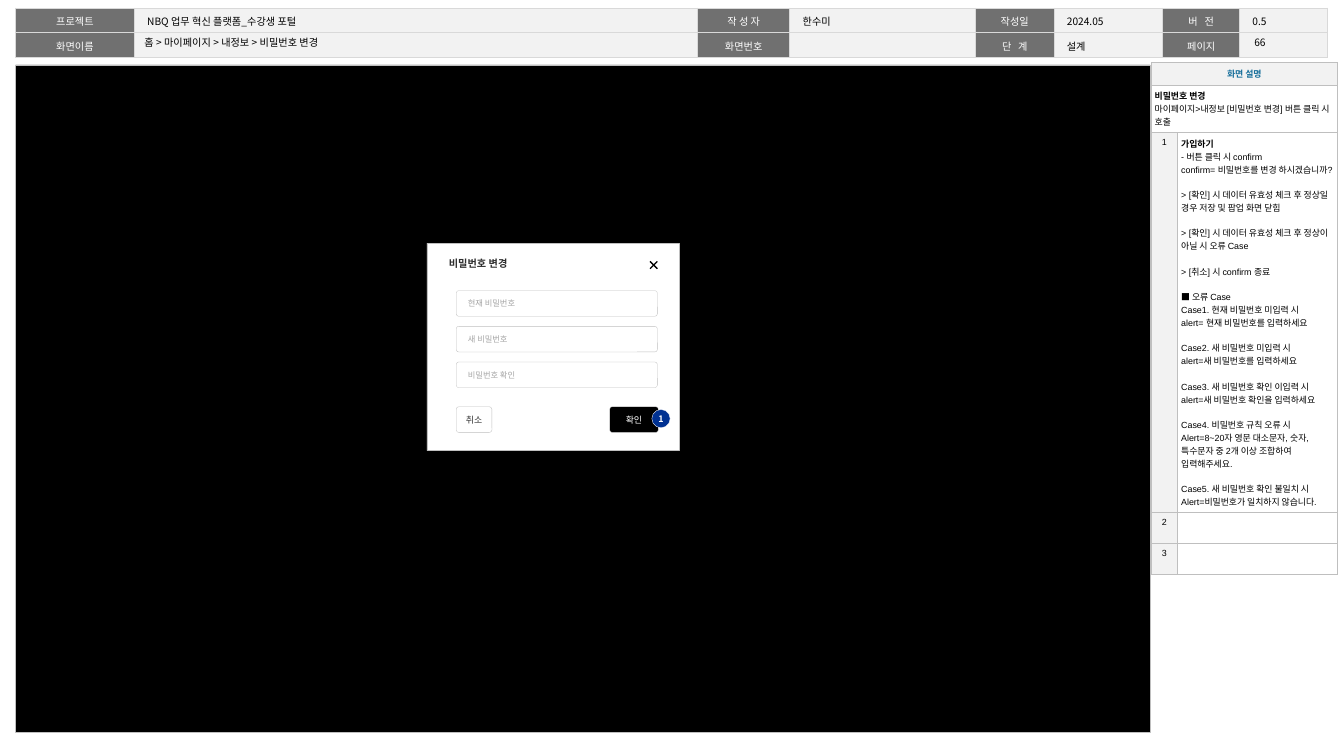
import dataclasses

import lxml.etree
import pptx
import pptx.dml.color
import pptx.enum.shapes
import pptx.enum.text
import pptx.oxml.ns
import pptx.util

Inches = pptx.util.Inches
Align = pptx.enum.text.PP_ALIGN
Anchor = pptx.enum.text.MSO_ANCHOR
Shape = pptx.enum.shapes.MSO_SHAPE
qn = pptx.oxml.ns.qn


@dataclasses.dataclass(frozen=True)
class Theme:
    """Colours, fonts and type sizes of the storyboard."""
    korean: str = "Noto Sans CJK KR"
    latin: str = "Arial"
    black: str = "000000"
    white: str = "FFFFFF"
    ink: str = "2E2E2E"
    label: str = "707070"
    pale: str = "F2F2F2"
    grid: str = "D9D9D9"
    border: str = "BFBFBF"
    hint: str = "A6A6A6"
    heading: str = "176F9B"
    badge: str = "003192"
    large: float = 8
    small: float = 7
    hint_size: float = 6.5


@dataclasses.dataclass(frozen=True)
class Style:
    """Type settings for one piece of text."""
    size: float
    color: str
    font: str
    bold: bool = False
    align: Align = Align.LEFT
    line_spacing: float | None = None
    tracking: int = 0


@dataclasses.dataclass(frozen=True)
class Line:
    """One paragraph, optionally bold or opening a new group."""
    text: str
    bold: bool = False
    opens_group: bool = False


class Storyboard:
    """Draws storyboard elements on the current slide."""

    def __init__(self, slide, theme):
        self.slide, self.theme = slide, theme

    def color(self, value):
        """Return a colour object for a hex value."""
        return pptx.dml.color.RGBColor.from_string(value)

    def fill_frame(self, frame, lines, style, insets, anchor=Anchor.MIDDLE):
        """Fill a text frame with formatted paragraphs."""
        frame.word_wrap = True
        frame.auto_size = pptx.enum.text.MSO_AUTO_SIZE.NONE
        self.place_text(frame, insets, anchor)
        self.fill_paragraphs(frame, lines, style)

    def place_text(self, holder, insets, anchor):
        """Set margins and anchor of a text frame or cell."""
        (holder.margin_left, holder.margin_top,
         holder.margin_right, holder.margin_bottom) = map(Inches, insets)
        holder.vertical_anchor = anchor

    def fill_paragraphs(self, frame, lines, style):
        """Add one paragraph for each line."""
        for index, line in enumerate(lines):
            paragraph = frame.add_paragraph() if index else frame.paragraphs[0]
            self.fill_paragraph(paragraph, line, style)

    def fill_paragraph(self, paragraph, line, style):
        """Add a single formatted run to a paragraph."""
        paragraph.alignment = style.align
        paragraph.line_spacing = style.line_spacing
        paragraph.space_before = pptx.util.Pt(10 if line.opens_group else 0)
        if not line.text:
            end = lxml.etree.SubElement(paragraph._p, qn("a:endParaRPr"))
            end.set("sz", str(int(style.size * 100)))
            return
        run = paragraph.add_run()
        run.text = line.text
        run.font.size = pptx.util.Pt(style.size)
        run.font.bold = style.bold or line.bold
        run.font.color.rgb = self.color(style.color)
        run.font.name = style.font
        properties = run._r.get_or_add_rPr()
        east_asian = lxml.etree.SubElement(properties, qn("a:ea"))
        east_asian.set("typeface", self.theme.korean)
        if style.tracking:
            properties.set("spc", str(style.tracking))

    def box(self, kind, bounds, fill, line_color, line_width):
        """Add a flat filled shape."""
        shape = self.slide.shapes.add_shape(kind, *map(Inches, bounds))
        shape.shadow.inherit = False
        shape.fill.solid()
        shape.fill.fore_color.rgb = self.color(fill)
        shape.line.color.rgb = self.color(line_color)
        shape.line.width = pptx.util.Pt(line_width)
        if kind == Shape.ROUNDED_RECTANGLE:
            shape.adjustments[0] = 0.1
        return shape

    def title(self, text, bounds, style):
        """Place the title placeholder above the elements drawn so far."""
        title = self.slide.shapes.title
        title.left, title.top, title.width, title.height = map(Inches, bounds)
        title.element.getparent().append(title.element)
        self.fill_frame(title.text_frame, [Line(text)], style, (0.11, 0.05, 0.11, 0.05))

    def text(self, text, bounds, style):
        """Add a plain text box."""
        label = self.slide.shapes.add_textbox(*map(Inches, bounds))
        self.fill_frame(label.text_frame, [Line(text)], style, (0.1, 0.05, 0.1, 0.05))

    def close_icon(self, left, top, size):
        """Draw two crossed strokes as a group."""
        icon = self.slide.shapes.add_group_shape()
        for start, end in ((left, left + size), (left + size, left)):
            stroke = icon.shapes.add_connector(
                pptx.enum.shapes.MSO_CONNECTOR.STRAIGHT,
                Inches(start), Inches(top), Inches(end), Inches(top + size))
            stroke.line.color.rgb = self.color(self.theme.black)
            stroke.line.width = pptx.util.Pt(1)
            lxml.etree.SubElement(stroke._element.spPr, qn("a:effectLst"))

    def table(self, bounds, columns, rows):
        """Add an unstyled table with the given column and row sizes."""
        table = self.slide.shapes.add_table(
            len(rows), len(columns), *map(Inches, bounds)).table
        table.first_row = table.horz_banding = False
        for column, width in zip(table.columns, columns):
            column.width = Inches(width)
        for row, height in zip(table.rows, rows):
            row.height = Inches(height)
        return table

    def cell(self, cell, lines, style, fill, border, insets, anchor=Anchor.TOP):
        """Fill one cell and draw its four borders."""
        cell.fill.solid()
        cell.fill.fore_color.rgb = self.color(fill)
        self.place_text(cell, insets, anchor)
        self.fill_paragraphs(cell.text_frame, lines, style)
        border_color, border_width = border
        properties = cell._tc.get_or_add_tcPr()
        for index, side in enumerate(("a:lnL", "a:lnR", "a:lnT", "a:lnB")):
            edge = lxml.etree.Element(qn(side), w=str(int(pptx.util.Pt(border_width))))
            solid = lxml.etree.SubElement(edge, qn("a:solidFill"))
            lxml.etree.SubElement(solid, qn("a:srgbClr"), val=border_color)
            properties.insert(index, edge)


def main():
    """Build the password change storyboard."""
    theme = Theme()
    deck = pptx.Presentation()
    deck.slide_width, deck.slide_height = Inches(14.7), Inches(8.27)
    board = Storyboard(deck.slides.add_slide(deck.slide_layouts[5]), theme)

    value = Style(theme.large, theme.black, theme.korean, line_spacing=1.05)
    label = dataclasses.replace(value, color=theme.white, align=Align.CENTER)
    project_rows = [
        ["프로젝트", "NBQ 업무 혁신 플랫폼_수강생 포털", "작 성 자", "한수미",
         "작성일", "2024.05", "버 전", "0.5"],
        ["화면이름", "", "화면번호", "", "단 계", "설계", "페이지", ""]]
    project = board.table((0.17, 0.09, 14.34, 0.49),
                          (1.3, 6.16, 1.01, 2.03, 0.86, 1.19, 0.84, 0.96), (0.24, 0.24))
    for row, entries in enumerate(project_rows):
        for column, entry in enumerate(entries):
            is_label = column % 2 == 0
            style = label if is_label else value
            if entry in ("버 전", "단 계"):
                style = dataclasses.replace(label, tracking=180)
            board.cell(project.cell(row, column), [Line(entry)], style,
                       theme.label if is_label else theme.pale,
                       (theme.grid, 1), (0.14, 0.05, 0.14, 0.05))

    board.box(Shape.RECTANGLE, (0.17, 0.71, 12.41, 7.3), theme.black, theme.border, 0.5)
    dialog = board.box(Shape.RECTANGLE, (4.67, 2.66, 2.76, 2.27),
                       theme.white, theme.border, 0.5)
    board.fill_frame(dialog.text_frame, [Line("비밀번호 변경", bold=True)],
                     Style(theme.large, theme.ink, theme.korean),
                     (0.24, 0.16, 0.16, 0.05), Anchor.TOP)
    board.close_icon(7.11, 2.86, 0.08)

    heading = Style(theme.large, theme.black, theme.korean)
    board.title("홈 > 마이페이지 > 내정보 > 비밀번호 변경", (1.47, 0.38, 5.91, 0.16), heading)
    board.text("66", (13.62, 0.38, 0.72, 0.16), heading)

    body = Style(theme.small, theme.black, theme.latin)
    number = dataclasses.replace(body, align=Align.CENTER)
    caption = Style(theme.small, theme.heading, theme.korean, True, Align.CENTER)
    summary = [Line("비밀번호 변경", bold=True),
               Line("마이페이지>내정보 [비밀번호 변경] 버튼 클릭 시 호출")]
    groups = [
        ["- 버튼 클릭 시 confirm", "confirm= 비밀번호를 변경 하시겠습니까?"],
        ["> [확인] 시 데이터 유효성 체크 후 정상일 경우 저장 및 팝업 화면 닫힘"],
        ["> [확인] 시 데이터 유효성 체크 후 정상이 아닐 시 오류 Case"],
        ["> [취소] 시 confirm 종료"],
        ["■ 오류 Case", "Case1. 현재 비밀번호 미입력 시", "alert= 현재 비밀번호를 입력하세요"],
        ["Case2. 새 비밀번호 미입력 시", "alert=새 비밀번호를 입력하세요"],
        ["Case3. 새 비밀번호 확인 이입력 시", "alert=새 비밀번호 확인을 입력하세요"],
        ["Case4. 비밀번호 규칙 오류 시",
         "Alert=8~20자 영문 대소문자, 숫자, 특수문자 중 2개 이상 조합하여 입력해주세요."],
        ["Case5. 새 비밀번호 확인 불일치 시", "Alert=비밀번호가 일치하지 않습니다."]]
    details = [Line("가입하기", bold=True)] + [
        Line(text, opens_group=group_index > 0 and text_index == 0)
        for group_index, group in enumerate(groups)
        for text_index, text in enumerate(group)]
    notes = board.table((12.59, 0.68, 2.05, 4.98), (0.29, 1.75),
                        (0.25, 0.25, 0.34, 0.34, 0.34))
    for row in (0, 1):
        notes.cell(row, 0).merge(notes.cell(row, 1))
    note_cells = [
        (0, 0, [Line("화면 설명")], caption, theme.pale, Anchor.MIDDLE),
        (0, 1, [Line("")], caption, theme.pale, Anchor.MIDDLE),
        (1, 0, summary, body, theme.white, Anchor.TOP),
        (1, 1, [Line("")], body, theme.white, Anchor.TOP)]
    for row, lines in enumerate((details, [Line("")], [Line("")]), start=2):
        note_cells.append((row, 0, [Line(str(row - 1))], number, theme.pale, Anchor.TOP))
        note_cells.append((row, 1, lines, body, theme.white, Anchor.MIDDLE))
    for row, column, lines, style, fill, anchor in note_cells:
        board.cell(notes.cell(row, column), lines, style, fill,
                   (theme.border, 0.25), (0.04, 0.05, 0.04, 0.05), anchor)

    for text, left, width, fill, ink in (("취소", 4.99, 0.39, theme.white, theme.ink),
                                         ("확인", 6.67, 0.53, theme.black, theme.white)):
        button = board.box(Shape.ROUNDED_RECTANGLE, (left, 4.45, width, 0.28),
                           fill, theme.border, 0.25)
        board.fill_frame(button.text_frame, [Line(text)],
                         dataclasses.replace(number, color=ink), (0.04, 0, 0.04, 0))
    hint = Style(theme.hint_size, theme.hint, theme.latin)
    for index, text in enumerate(("현재 비밀번호", "새 비밀번호", "비밀번호 확인")):
        field = board.box(Shape.ROUNDED_RECTANGLE, (4.99, 3.18 + 0.39 * index, 2.2, 0.28),
                          theme.white, theme.border, 0.25)
        board.fill_frame(field.text_frame, [Line(text)], hint, (0.12, 0, 0.08, 0))
    marker = board.box(Shape.OVAL, (7.13, 4.48, 0.2, 0.2), theme.badge, theme.white, 0.25)
    board.fill_frame(marker.text_frame, [Line("1")],
                     Style(theme.small, theme.white, theme.korean, True, Align.CENTER),
                     (0, 0, 0, 0))
    deck.save("out.pptx")


if __name__ == "__main__":
    main()
